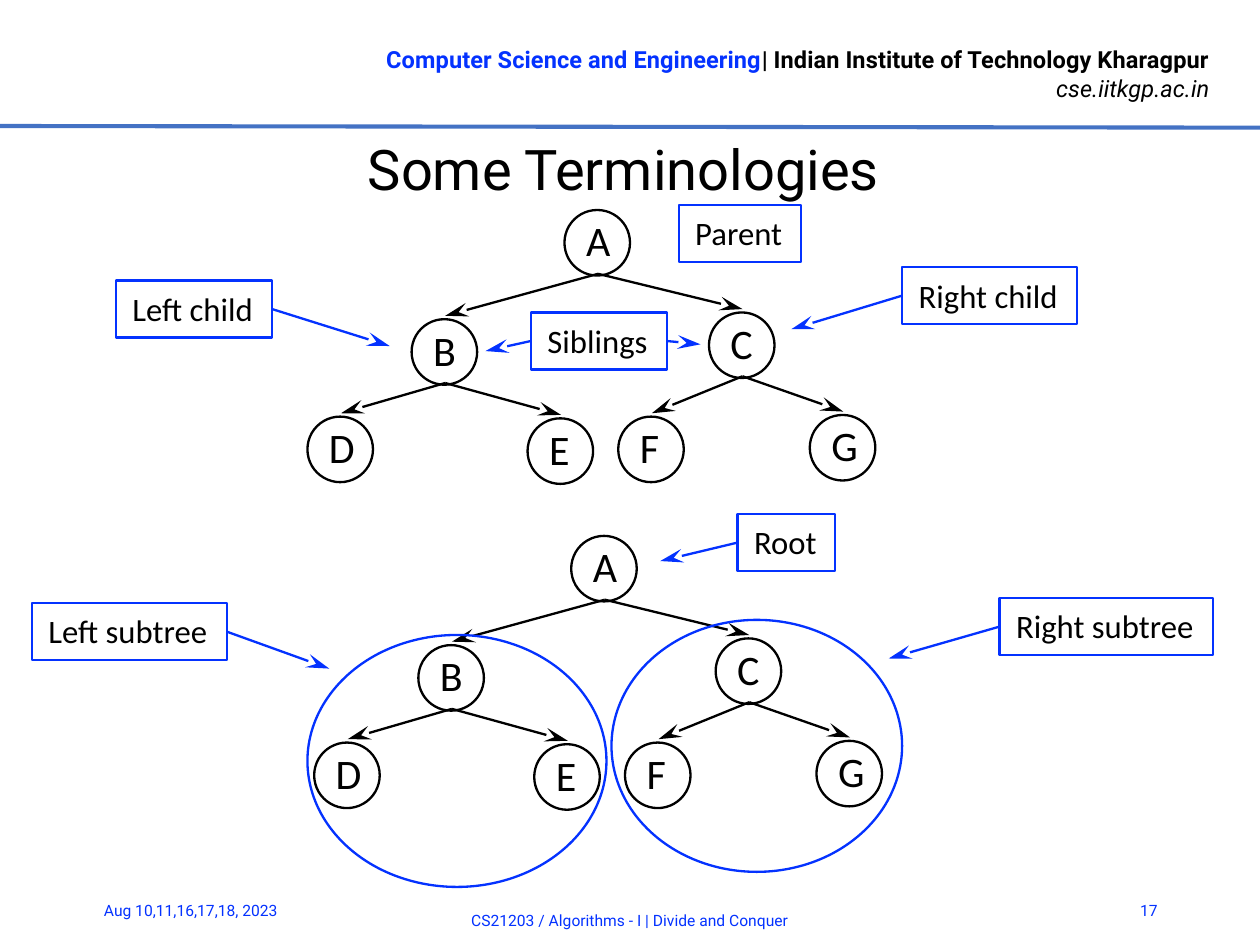
"""Build a slide that names the parts of a binary tree."""
from dataclasses import dataclass

from lxml import etree
from pptx import Presentation
from pptx.dml.color import RGBColor
from pptx.enum import shapes, text
from pptx.oxml import ns
from pptx.util import Inches, Pt

BLUE = RGBColor(0x04, 0x32, 0xFF)
RULE_BLUE = RGBColor(0x44, 0x72, 0xC4)
BLACK = RGBColor(0, 0, 0)
LEFT, CENTER, RIGHT = text.PP_ALIGN.LEFT, text.PP_ALIGN.CENTER, text.PP_ALIGN.RIGHT
TOP, MIDDLE = text.MSO_ANCHOR.TOP, text.MSO_ANCHOR.MIDDLE
SLIDE_WIDTH = 7.5
HEADER_SIZE = 10.13
NODE_SIZE = 0.39
TERM_HEIGHT = 0.34


@dataclass
class Node:
    left: float
    top: float
    label_width: float
    children: str = ""


@dataclass
class Term:
    name: str
    left: float
    top: float
    width: float
    targets: tuple[tuple[float, float], ...] = ()


NODES = {
    "A": Node(3.36, 1.25, 0.35, "BC"),
    "B": Node(2.45, 1.9, 0.34, "DE"),
    "C": Node(4.22, 1.86, 0.34, "FG"),
    "D": Node(1.83, 2.48, 0.36),
    "E": Node(3.14, 2.49, 0.32),
    "F": Node(3.68, 2.48, 0.32),
    "G": Node(4.82, 2.47, 0.36),
}
TREE_OFFSETS = ((0.04, 1.94), (0, 0))
SUBTREES = ((3.64, 3.69, 1.73, 1.5), (1.83, 3.78, 1.78, 1.5))
TERMS = (
    Term("Parent", 4.04, 1.22, 0.73),
    Term("Siblings", 3.16, 1.86, 0.81, ((2.89, 2.09), (4.17, 2.05))),
    Term("Root", 4.39, 3.06, 0.58, ((3.93, 3.34),)),
    Term("Right child", 5.37, 1.59, 1.04, ((4.71, 1.96),)),
    Term("Left child", 0.69, 1.67, 0.93, ((2.32, 2.06),)),
    Term("Right subtree", 5.95, 3.56, 1.27, ((5.29, 3.92),)),
    Term("Left subtree", 0.19, 3.59, 1.16, ((1.96, 3.98),)),
)


def write(shape, words: str, size: float, font: str = "Roboto", color: RGBColor = BLACK,
          align=LEFT, anchor=TOP, wrap: bool = False) -> None:
    """Fill a shape with text in one style."""
    frame = shape.text_frame
    frame.text = words
    frame.word_wrap = wrap
    frame.vertical_anchor = anchor
    if not wrap:
        frame.auto_size = text.MSO_AUTO_SIZE.SHAPE_TO_FIT_TEXT
    for paragraph in frame.paragraphs:
        paragraph.alignment = align
        for run in paragraph.runs:
            run.font.name, run.font.size = font, Pt(size)
            run.font.color.rgb = color


def add_box(parent, left: float, top: float, width: float, height: float):
    """Add an empty text box."""
    return parent.add_textbox(Inches(left), Inches(top), Inches(width), Inches(height))


def add_outline(parent, kind, left: float, top: float, width: float, height: float,
                color: RGBColor):
    """Add an unfilled shape with a thin outline."""
    outline = parent.add_shape(kind, Inches(left), Inches(top), Inches(width), Inches(height))
    outline.shadow.inherit = False
    outline.fill.background()
    outline.line.color.rgb = color
    outline.line.width = Pt(1)
    return outline


def add_line(parent, start: tuple[float, float], end: tuple[float, float],
             color: RGBColor, width: float = 1, arrow: bool = True) -> None:
    """Draw a straight line, with an arrowhead at its end if asked."""
    line = parent.add_connector(shapes.MSO_CONNECTOR.STRAIGHT,
                                *(Inches(value) for value in (*start, *end)))
    line.line.color.rgb = color
    line.line.width = Pt(width)
    properties = line._element.spPr
    if arrow:
        etree.SubElement(properties.get_or_add_ln(), ns.qn("a:tailEnd"),
                         type="stealth", w="med", len="lg")
    etree.SubElement(properties, ns.qn("a:effectLst"))


def add_tree(slide, dx: float, dy: float) -> None:
    """Draw the whole tree, shifted by an offset, as one group."""
    tree = slide.shapes.add_group_shape().shapes
    for letter, node in NODES.items():
        left, top = node.left + dx, node.top + dy
        add_outline(tree, shapes.MSO_SHAPE.OVAL, left, top, NODE_SIZE, NODE_SIZE, BLACK)
        label = add_box(tree, left + 0.03, top - 0.02, node.label_width, 0.4)
        write(label, letter, 18, "Calibri")
        for name in node.children:
            child = NODES[name]
            add_line(tree, (left + 0.2, top + 0.38),
                     (child.left + dx + 0.2, child.top + dy - 0.02), BLACK)


def add_term(slide, term: Term) -> None:
    """Draw a boxed term with arrows to what it names."""
    box = add_outline(slide.shapes, shapes.MSO_SHAPE.RECTANGLE,
                      term.left, term.top, term.width, TERM_HEIGHT, BLUE)
    write(box, term.name, 14, "Calibri")
    for target in term.targets:
        edge = term.left + (term.width if target[0] > term.left else 0)
        add_line(slide.shapes, (edge, term.top + TERM_HEIGHT / 2), target, BLUE)


def add_header(slide) -> None:
    """Add the institute's lines, the rule and the title."""
    institute = add_box(slide.shapes, 1.91, 0.22, 5.39, 0.44)
    write(institute, "Computer Science and Engineering\ncse.iitkgp.ac.in",
          HEADER_SIZE, align=RIGHT)
    name, site = institute.text_frame.paragraphs
    department = name.runs[0]
    university = name.add_run()
    university.text = "| Indian Institute of Technology Kharagpur"
    for run, color in ((department, BLUE), (university, BLACK)):
        run.font.name, run.font.size, run.font.bold = "Roboto", Pt(HEADER_SIZE), True
        run.font.color.rgb = color
    site.runs[0].font.italic = True
    add_line(slide.shapes, (0, 0.75), (SLIDE_WIDTH, 0.76), RULE_BLUE, 1.75, arrow=False)
    title = add_box(slide.shapes, 0.24, 0.79, 6.94, 0.41)
    write(title, "Some Terminologies", 24, align=CENTER, anchor=MIDDLE, wrap=True)
    frame = title.text_frame
    frame.margin_left = frame.margin_right = frame.margin_bottom = 0
    frame.margin_top = Inches(0.01)
    frame.paragraphs[0].font.size = Pt(24)


def add_footer(slide) -> None:
    """Add the date, the course and the page number."""
    for words, left, top, width, align in (
        ("Aug 10,11,16,17,18, 2023", 0.52, 5.27, 1.31, LEFT),
        ("CS21203 / Algorithms - I | Divide and Conquer", 1.24, 5.33, 5.02, CENTER),
        ("17", 6.62, 5.27, 0.37, RIGHT),
    ):
        write(add_box(slide.shapes, left, top, width, 0.3), words, 6.75,
              color=BLUE, align=align, anchor=MIDDLE, wrap=True)


def main() -> None:
    """Build and save the slide."""
    deck = Presentation()
    deck.slide_width, deck.slide_height = Inches(SLIDE_WIDTH), Inches(SLIDE_WIDTH * 3 / 4)
    slide = deck.slides.add_slide(deck.slide_layouts[6])
    add_header(slide)
    for dx, dy in TREE_OFFSETS:
        add_tree(slide, dx, dy)
    for subtree in SUBTREES:
        add_outline(slide.shapes, shapes.MSO_SHAPE.OVAL, *subtree, BLUE)
    for term in TERMS:
        add_term(slide, term)
    add_footer(slide)
    deck.save("out.pptx")


if __name__ == "__main__":
    main()
